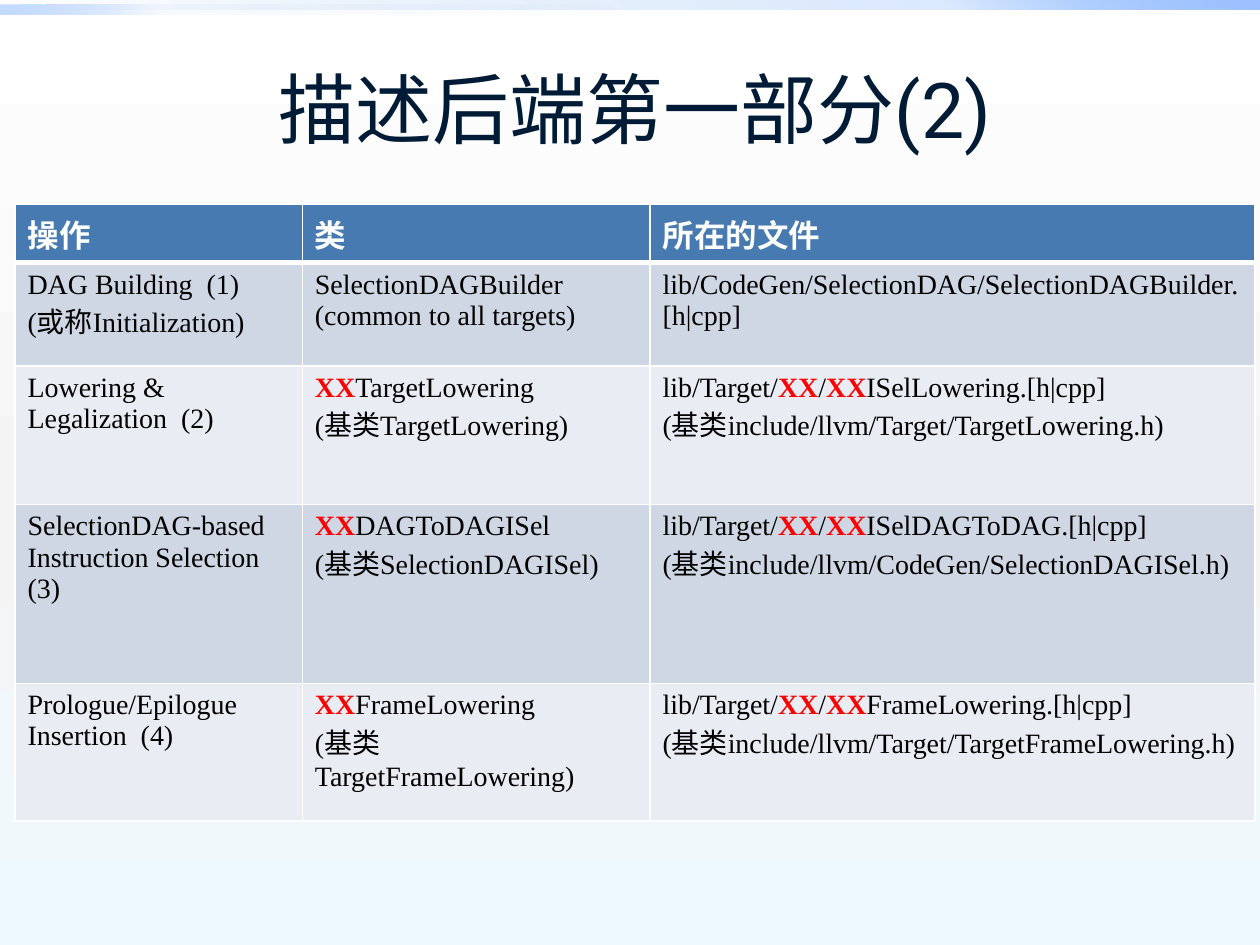
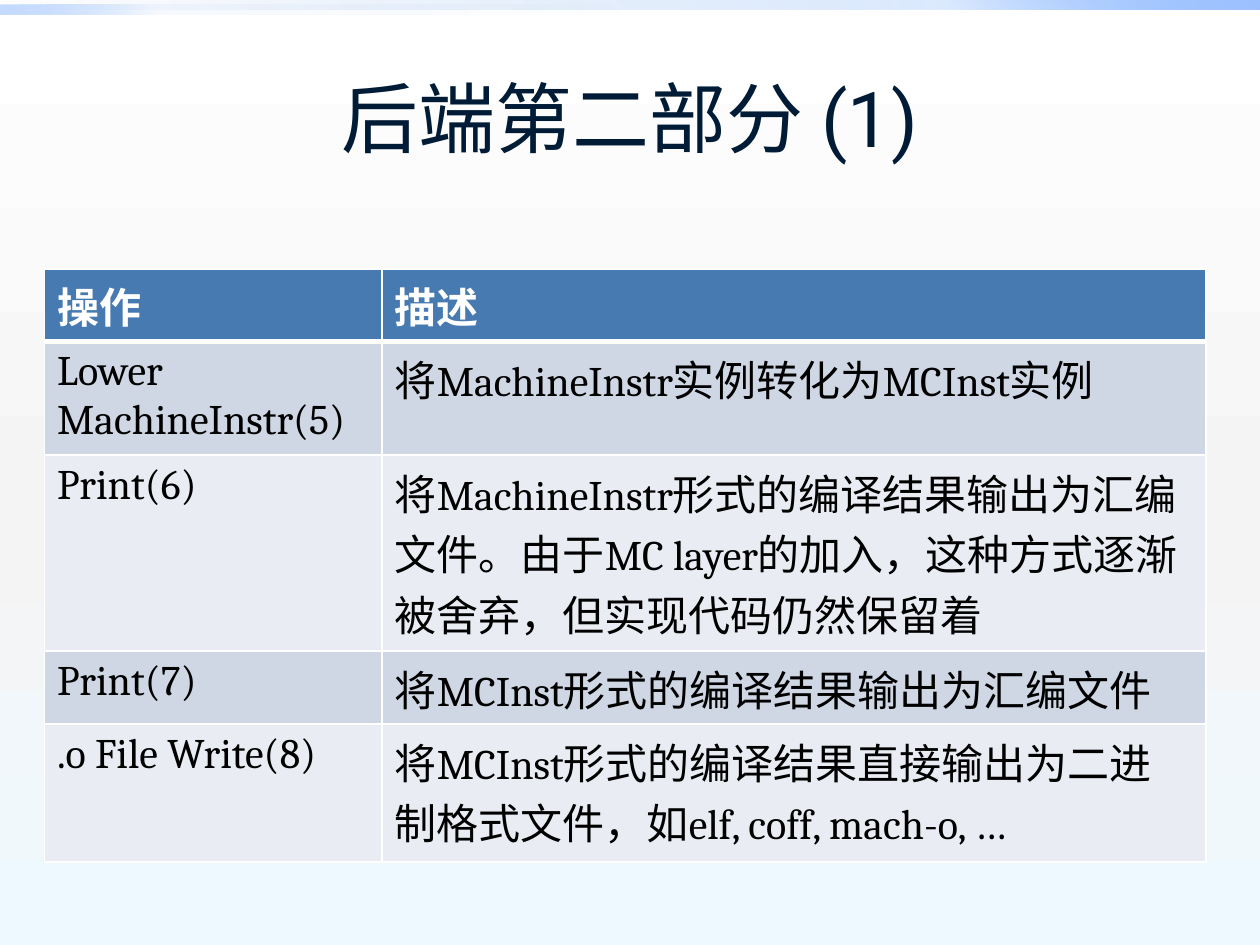
from lxml import etree
from pptx import Presentation
from pptx.dml.color import RGBColor
from pptx.enum import shapes, text
from pptx.oxml.ns import qn
from pptx.util import Pt

WHITE = RGBColor(0xFF, 0xFF, 0xFF)
GREY = RGBColor(0xF4, 0xF4, 0xF4)
ICE = RGBColor(0xEE, 0xF9, 0xFF)
DEEP_BLUE = RGBColor(0x00, 0x58, 0xB7)
MID_BLUE = RGBColor(0x4F, 0x95, 0xFF)
PALE_BLUE = RGBColor(0x9E, 0xC2, 0xFF)
NAVY = RGBColor(0x00, 0x1B, 0x36)
HEADER = RGBColor(0x47, 0x7A, 0xB1)
ROW_TINTS = (RGBColor(0xCF, 0xD7, 0xE4), RGBColor(0xE9, 0xEC, 0xF2))
BLACK = RGBColor(0x00, 0x00, 0x00)
RED = RGBColor(0xFF, 0x00, 0x00)

TITLE_FONT, HEAD_FONT, CODE_FONT = "Roboto", "Cambria", "Times New Roman"
TARGET = "XX"  # stands for the target's name, always bold red

# (left, top, width, height), angle, opacity of the three stops
BANDS = (
    ((0, 0, 720, 5.4), 315, (0, 20, 100)),
    ((0, 2.9, 360, 5.4), 135, (0, 5, 60)),
)

CLASS_ROWS = (
    ("操作", "类", "所在的文件"),
    ("DAG Building  (1)\n(或称Initialization)",
     "SelectionDAGBuilder\n(common to all targets)",
     "lib/CodeGen/SelectionDAG/SelectionDAGBuilder.[h|cpp]"),
    ("Lowering & Legalization  (2)",
     "XXTargetLowering\n(基类TargetLowering)",
     "lib/Target/XX/XXISelLowering.[h|cpp]\n(基类include/llvm/Target/TargetLowering.h)"),
    ("SelectionDAG-based\nInstruction Selection  (3)",
     "XXDAGToDAGISel\n(基类SelectionDAGISel)",
     "lib/Target/XX/XXISelDAGToDAG.[h|cpp]\n(基类include/llvm/CodeGen/SelectionDAGISel.h)"),
    ("Prologue/Epilogue Insertion  (4)",
     "XXFrameLowering\n(基类TargetFrameLowering)",
     "lib/Target/XX/XXFrameLowering.[h|cpp]\n(基类include/llvm/Target/TargetFrameLowering.h)"),
)
OUTPUT_ROWS = (
    ("操作", "描述"),
    ("Lower MachineInstr(5)", "将MachineInstr实例转化为MCInst实例"),
    ("Print(6)",
     "将MachineInstr形式的编译结果输出为汇编文件。由于MC layer的加入，"
     "这种方式逐渐被舍弃，但实现代码仍然保留着"),
    ("Print(7)", "将MCInst形式的编译结果输出为汇编文件"),
    (".o File Write(8)",
     "将MCInst形式的编译结果直接输出为二进制格式文件，如elf, coff, mach-o, …"),
)


def points(box):
    return [Pt(length) for length in box]


def paint_gradient(fill, holder, stops, angle):
    """Fill with stops of (position %, colour, opacity %); holder is the XML parent."""
    fill.gradient()
    gradient = next(holder.iter(qn("a:gradFill")))
    stop_list = gradient.find(qn("a:gsLst"))
    for old_stop in list(stop_list):
        stop_list.remove(old_stop)
    for position, colour, opacity in stops:
        stop = etree.SubElement(stop_list, qn("a:gs"), pos=str(position * 1000))
        tone = etree.SubElement(stop, qn("a:srgbClr"), val=str(colour))
        if opacity < 100:
            etree.SubElement(tone, qn("a:alpha"), val=str(opacity * 1000))
    gradient.find(qn("a:lin")).set("ang", str(angle * 60000))


def write_text(frame, content, font, size, colour=BLACK, bold=False, align=None):
    """One paragraph for each line; target names are set in bold red."""
    frame.word_wrap = True
    for index, line in enumerate(content.split("\n")):
        para = frame.add_paragraph() if index else frame.paragraphs[0]
        para.alignment = align
        pieces = line.replace(TARGET, f"\t{TARGET}\t").split("\t")
        for piece in filter(None, pieces):
            span = para.add_run()
            span.text = piece
            span.font.name, span.font.size = font, Pt(size)
            span.font.bold = bold or piece == TARGET
            span.font.color.rgb = RED if piece == TARGET else colour


def set_borders(cell, **widths):
    properties = cell._tc.get_or_add_tcPr()
    for index, side in enumerate("LRTB"):
        width = Pt(widths.get(side, 1))
        line = etree.Element(qn(f"a:ln{side}"), w=str(width))
        solid = etree.SubElement(line, qn("a:solidFill"))
        etree.SubElement(solid, qn("a:srgbClr"), val=str(WHITE))
        properties.insert(index, line)


def add_bands(page):
    for box, angle, opacities in BANDS:
        band = page.shapes.add_shape(shapes.MSO_SHAPE.RECTANGLE, *points(box))
        band.shadow.inherit = False
        band.line.fill.background()
        stops = zip((0, 75, 100), (DEEP_BLUE, MID_BLUE, PALE_BLUE), opacities)
        paint_gradient(band.fill, band._element.spPr, stops, angle)


def add_title(page, box, content):
    frame = page.shapes.add_textbox(*points(box)).text_frame
    frame.vertical_anchor = text.MSO_ANCHOR.MIDDLE
    write_text(frame, content, TITLE_FONT, 44, NAVY, align=text.PP_ALIGN.CENTER)


def add_grid(page, corner, rows, column_widths, row_heights, font, size, head_size):
    box = (*corner, sum(column_widths), sum(row_heights))
    table = page.shapes.add_table(len(rows), len(column_widths), *points(box)).table
    for column, width in zip(table.columns, column_widths):
        column.width = Pt(width)
    for row, height in zip(table.rows, row_heights):
        row.height = Pt(height)
    for row_index, row in enumerate(rows):
        for column_index, content in enumerate(row):
            cell = table.cell(row_index, column_index)
            cell.fill.solid()
            if row_index == 0:
                cell.fill.fore_color.rgb = HEADER
                write_text(cell.text_frame, content, HEAD_FONT, head_size, WHITE, bold=True)
                set_borders(cell, B=3)
            else:
                cell.fill.fore_color.rgb = ROW_TINTS[(row_index - 1) % 2]
                write_text(cell.text_frame, content, font, size)
                set_borders(cell, T=3 if row_index == 1 else 1)


def add_table_page(deck, title, title_box, **grid):
    page = deck.slides.add_slide(deck.slide_layouts[6])
    add_bands(page)
    add_grid(page, **grid)
    add_title(page, title_box, title)


def main():
    deck = Presentation()
    deck.slide_width, deck.slide_height = Pt(720), Pt(540)
    master = deck.slide_master
    paint_gradient(master.background.fill, master.element,
                   ((0, WHITE, 100), (55, GREY, 100), (100, ICE, 100)), 90)
    add_table_page(
        deck, "描述后端第一部分(2)", (16.8, 11.5, 692, 100),
        corner=(8.6, 116.9), rows=CLASS_ROWS,
        column_widths=(164.2, 198.7, 345.6), row_heights=(32.6, 59, 79.2, 102.2, 78.5),
        font=CODE_FONT, size=16, head_size=18)
    add_table_page(
        deck, "后端第二部分 (1)", (36, 21.6, 648, 90),
        corner=(25.4, 153.7), rows=OUTPUT_ROWS,
        column_widths=(193, 470.9), row_heights=(41.5, 62.3, 112, 41.7, 78.9),
        font=HEAD_FONT, size=24, head_size=24)
    deck.save("out.pptx")


if __name__ == "__main__":
    main()
